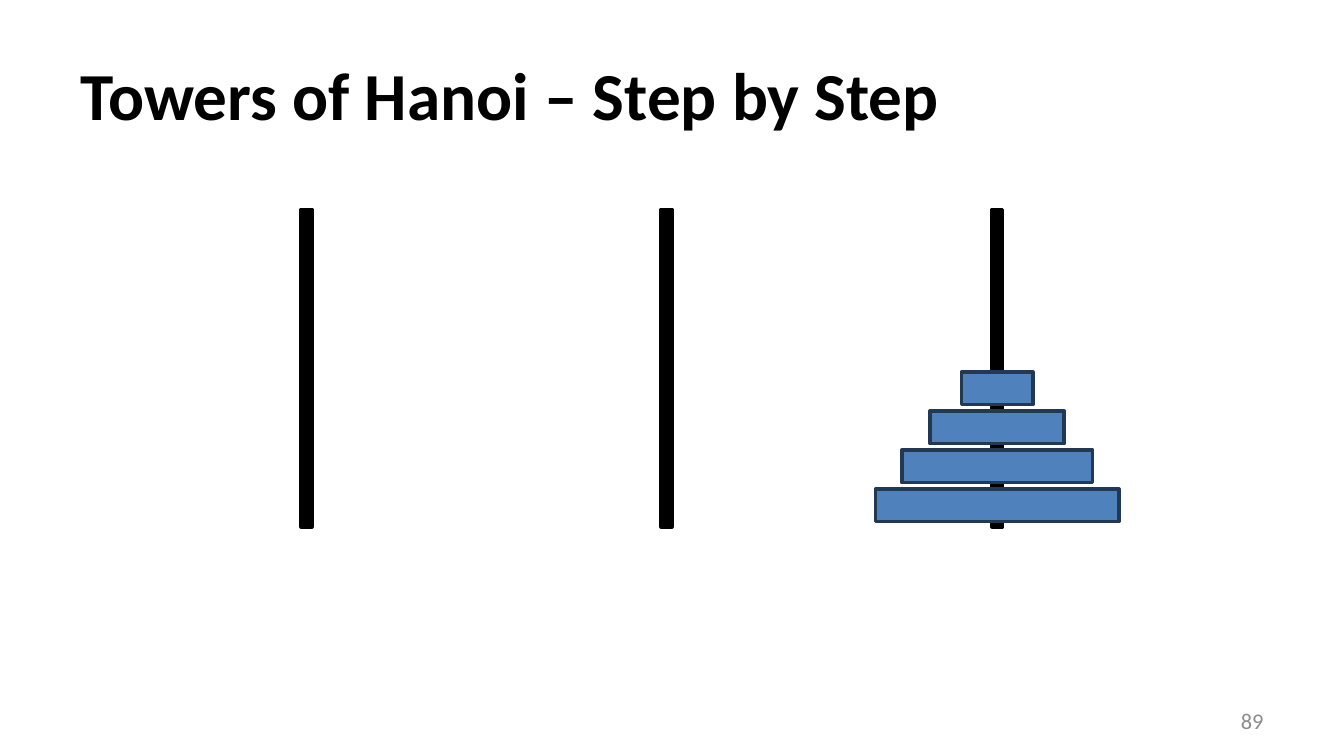
from pptx import Presentation
from pptx.dml.color import RGBColor
from pptx.enum import shapes, text
from pptx.util import Inches, Pt

# Content
TITLE = "Towers of Hanoi – Step by Step"
PAGE_NUMBER = "89"
PEG_CENTERS = [2.28, 4.96, 7.42]
DISK_WIDTHS = [1.81, 1.42, 1.0, 0.53]  # bottom to top
COLORS = {"black": "000000", "disk": "4F81BD", "edge": "233953", "number": "8C8C8C"}

# Geometry in inches
PEG_TOP, PEG_WIDTH, PEG_HEIGHT = 1.56, 0.08, 2.36
DISK_BOTTOM_TOP, DISK_HEIGHT, DISK_STEP = 3.64, 0.24, 0.29


def color(name):
    return RGBColor.from_string(COLORS[name])


def add_bar(group, center, top, width, height, fill, line):
    bar = group.shapes.add_shape(
        shapes.MSO_SHAPE.RECTANGLE,
        Inches(center - width / 2), Inches(top), Inches(width), Inches(height))
    bar.shadow.inherit = False
    bar.fill.solid()
    bar.fill.fore_color.rgb = color(fill)
    bar.line.color.rgb = color(line)
    bar.line.width = Pt(2)


def write(box, words, size, shade, align, bold=False):
    frame = box.text_frame
    frame.word_wrap = True
    frame.auto_size = text.MSO_AUTO_SIZE.NONE
    frame.vertical_anchor = text.MSO_ANCHOR.MIDDLE
    para = frame.paragraphs[0]
    para.alignment = align
    span = para.add_run()
    span.text = words
    span.font.name = "Calibri"
    span.font.size = Pt(size)
    span.font.bold = bold
    span.font.color.rgb = color(shade)


# Widescreen page, 16:9
deck = Presentation()
deck.slide_width = Inches(10)
deck.slide_height = Inches(10 * 9 / 16)
page = deck.slides.add_slide(deck.slide_layouts[5])

# Title
title = page.shapes.title
title.left, title.top = Inches(0.5), Inches(0.23)
title.width, title.height = Inches(9), Inches(0.94)
write(title, TITLE, 36, "black", text.PP_ALIGN.LEFT, bold=True)

# Page number
number = page.shapes.add_textbox(Inches(7.17), Inches(5.21), Inches(2.33), Inches(0.3))
write(number, PAGE_NUMBER, 12, "number", text.PP_ALIGN.RIGHT)

# Pegs from right to left, then the disks stacked on the last peg
towers = page.shapes.add_group_shape()
for center in reversed(PEG_CENTERS):
    add_bar(towers, center, PEG_TOP, PEG_WIDTH, PEG_HEIGHT, "black", "black")
for level, width in enumerate(DISK_WIDTHS):
    add_bar(towers, PEG_CENTERS[-1], DISK_BOTTOM_TOP - level * DISK_STEP,
            width, DISK_HEIGHT, "disk", "edge")

deck.save("out.pptx")
